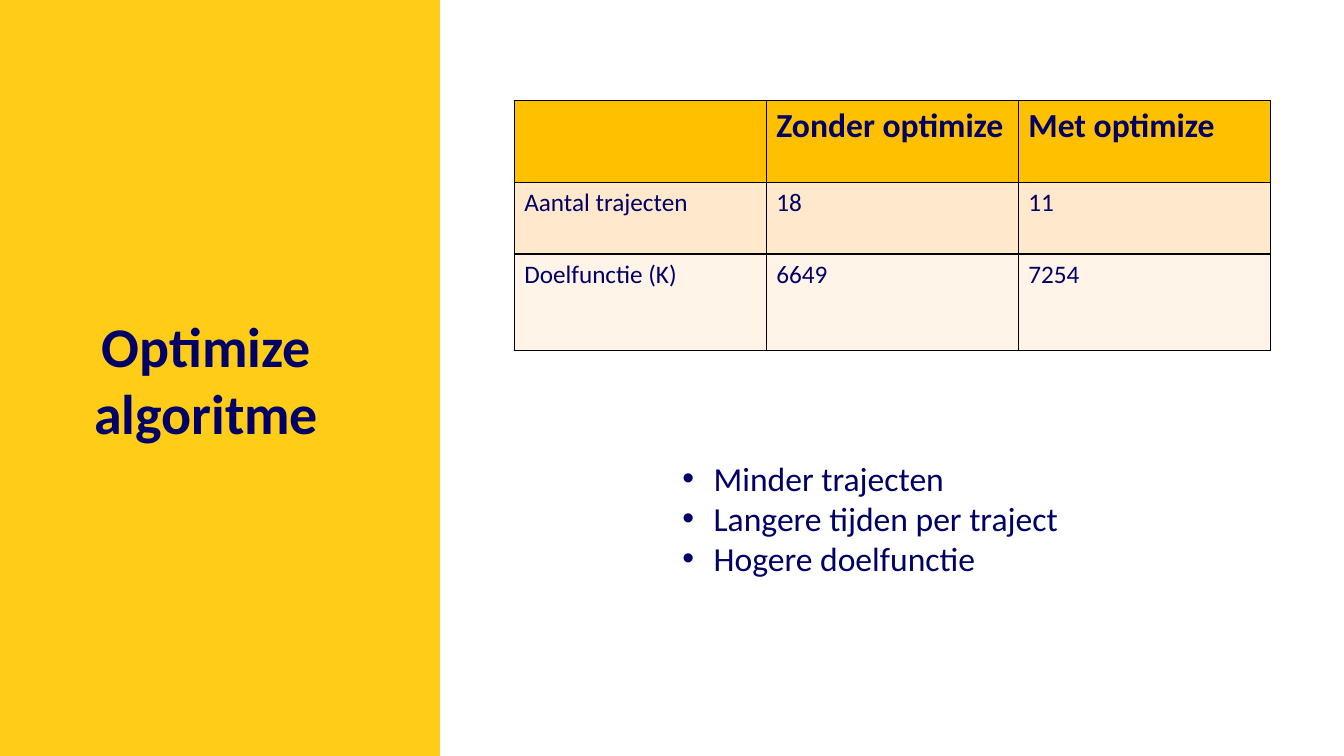
from lxml import etree
from pptx import Presentation
from pptx.dml.color import RGBColor
from pptx.enum.shapes import MSO_SHAPE
from pptx.enum.text import MSO_ANCHOR, PP_ALIGN
from pptx.oxml.ns import qn
from pptx.util import Inches, Pt

RECTANGLE = MSO_SHAPE.RECTANGLE
CENTER = PP_ALIGN.CENTER
MIDDLE = MSO_ANCHOR.MIDDLE

FONT = "Calibri"
NAVY = RGBColor(0x00, 0x00, 0x66)
YELLOW = RGBColor(0xFF, 0xCC, 0x18)
WHITE = RGBColor(0xFF, 0xFF, 0xFF)
BLACK = RGBColor(0x00, 0x00, 0x00)
AMBER = RGBColor(0xFF, 0xC0, 0x00)
PEACH = RGBColor(0xFF, 0xE8, 0xCC)
CREAM = RGBColor(0xFF, 0xF4, 0xE7)

COLUMN_WIDTH = 2.5
# Each row: height, fill, text size, bold, cell texts
RESULT_ROWS = [
    (0.81, AMBER, 24, True, ["", "Zonder optimize", "Met optimize"]),
    (0.71, PEACH, 18, False, ["Aantal trajecten", "18", "11"]),
    (0.96, CREAM, 18, False, ["Doelfunctie (K)", "6649", "7254"]),
]
CONCLUSIONS = ["Minder trajecten", "Langere tijden per traject", "Hogere doelfunctie"]


def add_text(paragraph, text, size, bold=False):
    run = paragraph.add_run()
    run.text = text
    run.font.name = FONT
    run.font.size = Pt(size)
    run.font.bold = bold
    run.font.color.rgb = NAVY


def add_rectangle(slide, left, top, width, height, fill):
    shape = slide.shapes.add_shape(
        RECTANGLE, Inches(left), Inches(top), Inches(width), Inches(height))
    shape.shadow.inherit = False
    shape.fill.solid()
    shape.fill.fore_color.rgb = fill
    shape.line.fill.background()
    return shape


def add_title(slide, text):
    shape = add_rectangle(slide, 0, 3.03, 4.09, 1.45, YELLOW)
    frame = shape.text_frame
    frame.word_wrap = True
    frame.vertical_anchor = MIDDLE
    paragraph = frame.paragraphs[0]
    paragraph.alignment = CENTER
    add_text(paragraph, text, 40, True)


def add_panel(slide):
    panel = add_rectangle(slide, 4.37, 0, 8.96, 7.5, WHITE)
    panel.line.color.rgb = WHITE
    panel.line.width = Pt(1)


def set_borders(cell):
    properties = cell._tc.get_or_add_tcPr()
    for index, side in enumerate(("a:lnL", "a:lnR", "a:lnT", "a:lnB")):
        line = etree.Element(qn(side), w=str(Pt(1)))
        fill = etree.SubElement(line, qn("a:solidFill"))
        etree.SubElement(fill, qn("a:srgbClr"), val=str(BLACK))
        properties.insert(index, line)


def add_results_table(slide):
    column_count = len(RESULT_ROWS[0][-1])
    table_height = sum(row[0] for row in RESULT_ROWS)
    table = slide.shapes.add_table(
        len(RESULT_ROWS), column_count, Inches(5.1), Inches(1),
        Inches(COLUMN_WIDTH * column_count), Inches(table_height)).table
    for column in table.columns:
        column.width = Inches(COLUMN_WIDTH)
    for row_index, (height, fill, size, bold, texts) in enumerate(RESULT_ROWS):
        table.rows[row_index].height = Inches(height)
        for column_index, text in enumerate(texts):
            cell = table.cell(row_index, column_index)
            cell.fill.solid()
            cell.fill.fore_color.rgb = fill
            set_borders(cell)
            if text:
                add_text(cell.text_frame.paragraphs[0], text, size, bold)


def add_bullets(slide, items):
    box = slide.shapes.add_textbox(
        Inches(6.67), Inches(4.49), Inches(6.67), Inches(1.31))
    frame = box.text_frame
    frame.word_wrap = True
    for index, item in enumerate(items):
        paragraph = frame.add_paragraph() if index else frame.paragraphs[0]
        properties = paragraph._p.get_or_add_pPr()
        properties.set("marL", str(Inches(0.31)))
        properties.set("indent", str(Inches(-0.31)))
        etree.SubElement(properties, qn("a:buFont"), typeface="Arial")
        etree.SubElement(properties, qn("a:buChar"), char="•")
        add_text(paragraph, item, 24)


def main():
    presentation = Presentation()
    presentation.slide_width = Inches(13.33)
    presentation.slide_height = Inches(7.5)
    slide = presentation.slides.add_slide(presentation.slide_layouts[6])
    slide.background.fill.solid()
    slide.background.fill.fore_color.rgb = YELLOW

    # Title on the yellow band, white panel beside it
    add_title(slide, "Optimize algoritme")
    add_panel(slide)

    # Results and conclusions
    add_results_table(slide)
    add_bullets(slide, CONCLUSIONS)

    presentation.save("out.pptx")


if __name__ == "__main__":
    main()
